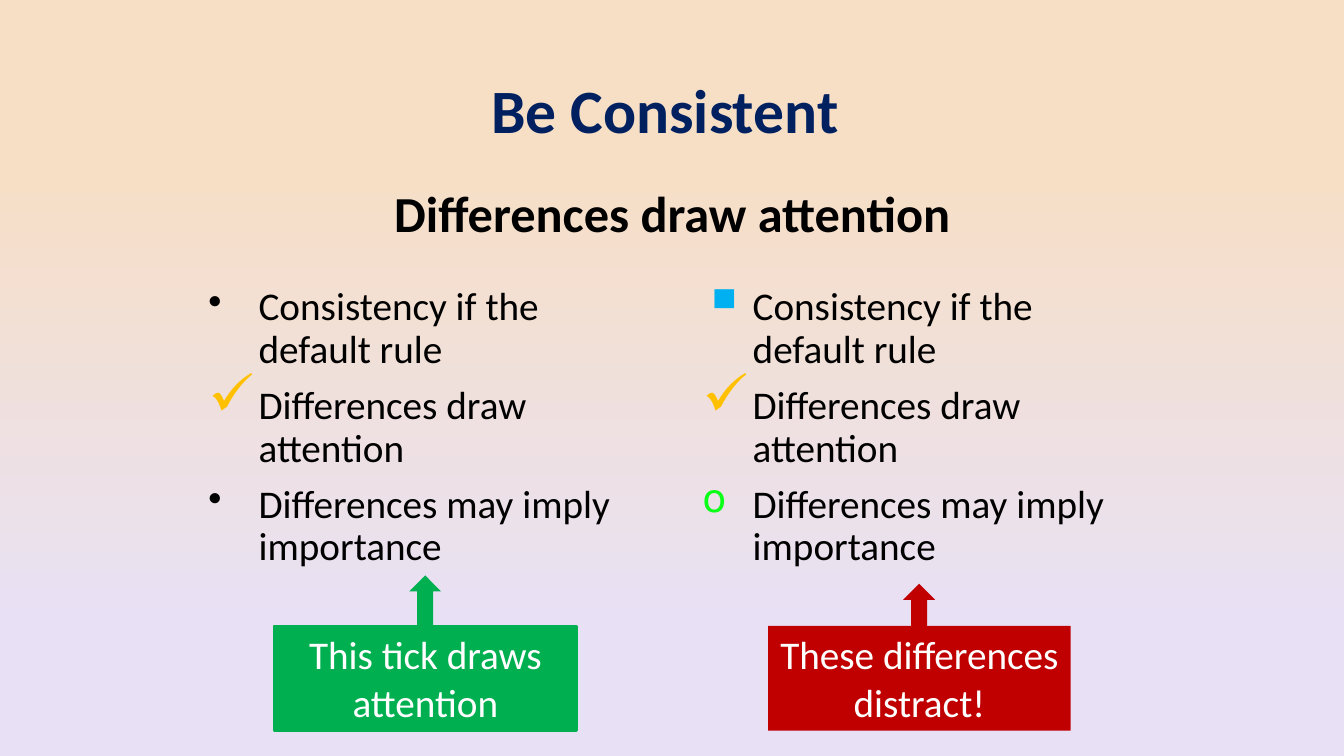
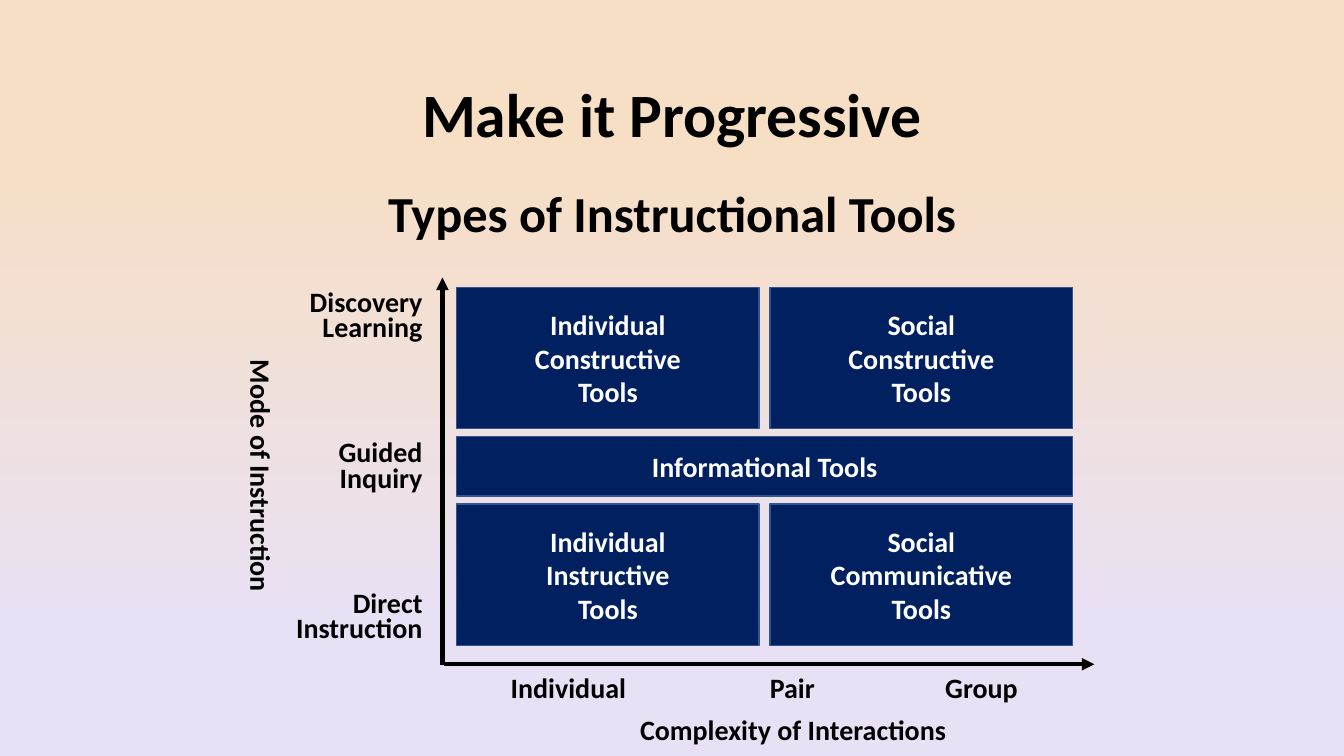
from dataclasses import dataclass
from typing import Optional

from lxml import etree
from pptx import Presentation
from pptx import util as u
from pptx.dml import color as dml
from pptx.enum import shapes, text
from pptx.oxml import ns

FONT = "Calibri"
COLORS = {
    "sand": "F7DFC6", "lilac": "E8E1F5", "navy": "002060", "tile_edge": "325491",
    "black": "000000", "white": "FFFFFF", "gold": "FFC000", "sky": "00B0F0",
    "lime": "0AFF16", "green": "00B050", "red": "C00000",
}
CENTER, LEFT, RIGHT = text.PP_ALIGN.CENTER, text.PP_ALIGN.LEFT, text.PP_ALIGN.RIGHT
TOP, MIDDLE = text.MSO_ANCHOR.TOP, text.MSO_ANCHOR.MIDDLE
RECT, ARROW = shapes.MSO_SHAPE.RECTANGLE, shapes.MSO_SHAPE.UP_ARROW


@dataclass(frozen=True)
class Box:
    """Left, top, width and height in centimetres."""
    left: float
    top: float
    width: float
    height: float

    def lengths(self) -> tuple:
        return tuple(u.Cm(v) for v in (self.left, self.top, self.width, self.height))


@dataclass(frozen=True)
class Bullet:
    char: str
    color: str = "black"
    percent: int = 100


@dataclass(frozen=True)
class Column:
    left: float
    bullets: tuple
    remark: str
    color: str
    arrow_top: float
    edge: Optional[str] = None


@dataclass(frozen=True)
class Label:
    words: str
    box: Box
    rotation: int = 0


def rgb(name: str) -> dml.RGBColor:
    return dml.RGBColor.from_string(COLORS[name])


# Building blocks
def write(frame, words: str, *, size: float = 20, color: str = "black", bold: bool = False,
          align=CENTER, anchor=MIDDLE, spacing: float = 1.0, before: float = 0,
          wrap: bool = True) -> None:
    """Fill a text frame, one paragraph per line of words."""
    frame.word_wrap = wrap
    frame.vertical_anchor = anchor
    for i, line in enumerate(words.split("\n")):
        para = frame.paragraphs[0] if i == 0 else frame.add_paragraph()
        para.alignment, para.line_spacing = align, spacing
        para.space_before = u.Pt(before)
        run = para.add_run()
        run.text = line
        run.font.name, run.font.size, run.font.bold = FONT, u.Pt(size), bold
        run.font.color.rgb = rgb(color)


def add_text(slide, box: Box, words: str, **style):
    holder = slide.shapes.add_textbox(*box.lengths())
    write(holder.text_frame, words, **style)
    return holder


def add_block(slide, kind, box: Box, fill: str, edge: Optional[str] = None,
              edge_width: float = 1):
    block = slide.shapes.add_shape(kind, *box.lengths())
    block.shadow.inherit = False
    block.fill.solid()
    block.fill.fore_color.rgb = rgb(fill)
    if edge:
        block.line.color.rgb = rgb(edge)
        block.line.width = u.Pt(edge_width)
    else:
        block.line.fill.background()
    return block


def add_axis(slide, start: tuple, end: tuple) -> None:
    axis = slide.shapes.add_connector(shapes.MSO_CONNECTOR.STRAIGHT,
                                      *(u.Cm(v) for v in start + end))
    axis.line.color.rgb = rgb("black")
    axis.line.width = u.Pt(3)
    etree.SubElement(axis.line._get_or_add_ln(), ns.qn("a:tailEnd"), type="triangle")
    etree.SubElement(axis._element.spPr, ns.qn("a:effectLst"))


def set_bullet(para, bullet: Bullet) -> None:
    props = para._p.get_or_add_pPr()
    props.set("marL", str(u.Cm(1.27)))
    props.set("indent", str(-u.Cm(1.27)))
    tint = etree.SubElement(props, ns.qn("a:buClr"))
    etree.SubElement(tint, ns.qn("a:srgbClr"), val=COLORS[bullet.color])
    etree.SubElement(props, ns.qn("a:buSzPct"), val=str(bullet.percent * 1000))
    etree.SubElement(props, ns.qn("a:buChar"), char=bullet.char)


# Shared look
def paint_background(master) -> None:
    fill = master.background.fill
    fill.gradient()
    fill.gradient_angle = 270
    for stop, name, position in zip(fill.gradient_stops, ("sand", "lilac"), (0.23, 0.83)):
        stop.color.rgb = rgb(name)
        stop.position = position


def add_slide(prs, title: str, subtitle: str, title_top: float, title_color: str):
    slide = prs.slides.add_slide(prs.slide_layouts[6])
    add_text(slide, Box(2.34, title_top, 29.2, 3.68), title,
             size=44, color=title_color, bold=True, spacing=0.9)
    add_text(slide, Box(6.15, 4.7, 21.59, 1.57), subtitle, size=36, bold=True, spacing=0.8)
    return slide


# Slide 1: two bullet lists with a remark under each
RULES = ("Consistency if the default rule\nDifferences draw attention\n"
         "Differences may imply importance")
TICK = Bullet("✓", "gold", 150)
COLUMNS = (
    Column(5.0, (Bullet("•"), TICK, Bullet("•")),
           "This tick draws attention", "green", 14.5, "green"),
    Column(17.45, (Bullet("▪", "sky", 150), TICK, Bullet("o", "lime")),
           "These differences distract!", "red", 14.71),
)


def build_consistent(prs) -> None:
    slide = add_slide(prs, "Be Consistent ", "Differences draw attention", 1.02, "navy")
    for column in COLUMNS:
        rules = add_text(slide, Box(column.left, 7.11, 11.43, 7.82), RULES, size=28,
                         align=LEFT, anchor=TOP, spacing=0.9, before=10)
        for para, bullet in zip(rules.text_frame.paragraphs, column.bullets):
            set_bullet(para, bullet)
        remark = add_block(slide, RECT, Box(column.left + 1.91, 15.77, 7.62, 2.64),
                           column.color, column.edge, 1.5)
        write(remark.text_frame, column.remark, size=28, color="white", anchor=TOP)
        add_block(slide, ARROW, Box(column.left + 5.31, column.arrow_top, 0.81, 1.27),
                  column.color)


# Slide 2: tools placed between two axes
AXIS_LABELS = (
    Label("Individual", Box(12.62, 16.76, 3.45, 1.12)),
    Label("Pair", Box(19.15, 16.76, 1.65, 1.12)),
    Label("Group", Box(23.57, 16.76, 2.36, 1.12)),
    Label("Complexity of Interactions", Box(15.88, 17.83, 8.31, 1.12)),
    Label("Mode of Instruction", Box(3.38, 11.46, 6.4, 1.12), 90),
)
MODES = ("Discovery\nLearning", "Guided\nInquiry", "Direct\nInstruction")
TOOL_ROWS = (
    (3.56, ("Individual\nConstructive\nTools", "Social\nConstructive\nTools")),
    (1.5, ("Informational Tools",)),
    (3.56, ("Individual\nInstructive\nTools", "Social\nCommunicative\nTools")),
)
GRID_LEFT, GRID_TOP, GRID_WIDTH = 11.51, 7.24, 15.52
COLUMN_GAP, ROW_GAP = 0.28, 0.2
MODE_PITCH = 3.79


def build_progressive(prs) -> None:
    slide = add_slide(prs, "Make it Progressive", "Types of Instructional Tools", 1.12, "black")
    # Axes and their labels
    add_axis(slide, (11.2, 16.74), (27.58, 16.74))
    add_axis(slide, (11.15, 16.76), (11.15, 6.99))
    for label in AXIS_LABELS:
        holder = add_text(slide, label.box, label.words, bold=True, align=LEFT,
                          anchor=TOP, wrap=False)
        holder.rotation = label.rotation
    for i, mode in enumerate(MODES):
        add_text(slide, Box(6.9, GRID_TOP + i * MODE_PITCH, 4, 1.57), mode,
                 bold=True, align=RIGHT, anchor=TOP, spacing=0.75)
    # Tool tiles
    top = GRID_TOP
    for height, tools in TOOL_ROWS:
        width = (GRID_WIDTH - COLUMN_GAP * (len(tools) - 1)) / len(tools)
        for i, tool in enumerate(tools):
            tile = add_block(slide, RECT,
                             Box(GRID_LEFT + i * (width + COLUMN_GAP), top, width, height),
                             "navy", "tile_edge")
            write(tile.text_frame, tool, color="white", bold=True)
        top += height + ROW_GAP


def main() -> None:
    prs = Presentation()
    prs.slide_width, prs.slide_height = u.Cm(33.87), u.Cm(19.05)
    paint_background(prs.slide_master)
    build_consistent(prs)
    build_progressive(prs)
    prs.save("out.pptx")


if __name__ == "__main__":
    main()
